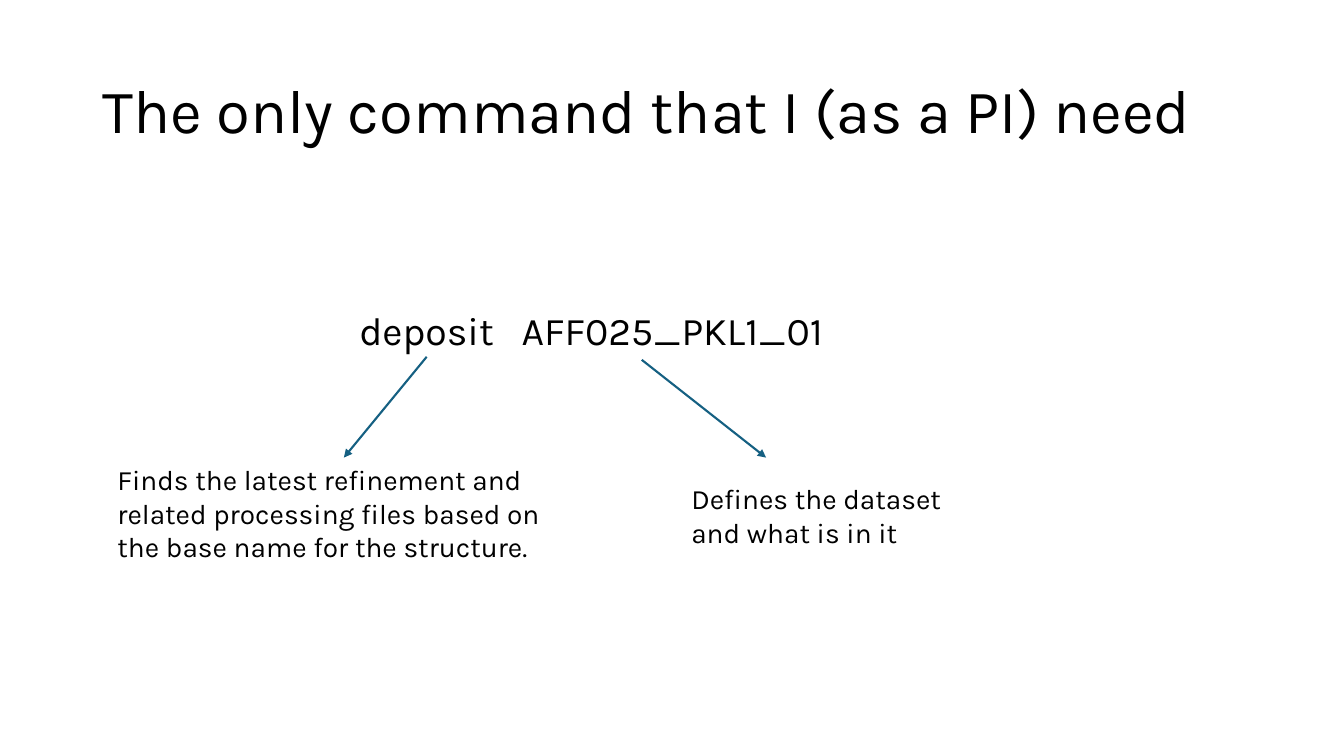
from pptx import Presentation
from pptx.dml.color import RGBColor
from pptx.enum.shapes import MSO_CONNECTOR
from pptx.enum.text import MSO_ANCHOR, MSO_AUTO_SIZE, PP_ALIGN
from pptx.oxml.ns import qn
from pptx.util import Inches, Pt
from lxml.etree import SubElement

HUES = {"ink": "000000", "line": "156082", "page": "FFFFFF"}
FONT = "Karla"
COLS, ROWS = 40, 30


class Page:
    """Hold the style and the slide, and place items on a grid of columns and rows."""

    def __init__(self, deck):
        self.wide = deck.slide_width / COLS
        self.high = deck.slide_height / ROWS
        self.slide = deck.slides.add_slide(deck.slide_layouts[5])
        fill = self.slide.background.fill
        fill.solid()
        fill.fore_color.rgb = RGBColor.from_string(HUES["page"])

    def span(self, *cells):
        units = (self.wide, self.high) * 2
        return [round(cell * unit) for cell, unit in zip(cells, units)]

    def words(self, frame, text, size, stop=None):
        frame.word_wrap = True
        para = frame.paragraphs[0]
        para.alignment = PP_ALIGN.LEFT
        if stop:
            tabs = SubElement(para._p.get_or_add_pPr(), qn("a:tabLst"))
            SubElement(tabs, qn("a:tab"), pos=str(Inches(stop)), algn="l")
        run = para.add_run()
        run.text = text
        run.font.name = FONT
        run.font.size = Pt(size)
        run.font.color.rgb = RGBColor.from_string(HUES["ink"])
        return para

    def title(self, text, *cells):
        head = self.slide.shapes.title
        head.left, head.top, head.width, head.height = self.span(*cells)
        frame = head.text_frame
        frame.auto_size = MSO_AUTO_SIZE.NONE
        frame.vertical_anchor = MSO_ANCHOR.MIDDLE
        self.words(frame, text, 44).line_spacing = 0.9

    def text(self, text, size, *cells, stop=None):
        box = self.slide.shapes.add_textbox(*self.span(*cells))
        self.words(box.text_frame, text, size, stop)
        box.text_frame.auto_size = MSO_AUTO_SIZE.SHAPE_TO_FIT_TEXT
        return box

    def arrow(self, *cells, goal=None):
        line = self.slide.shapes.add_connector(MSO_CONNECTOR.STRAIGHT, *self.span(*cells))
        if goal is not None:
            line.end_connect(goal, 0)
        line.line.color.rgb = RGBColor.from_string(HUES["line"])
        line.line.width = Pt(1.5)
        SubElement(line.line._get_or_add_ln(), qn("a:tailEnd"), type="triangle")
        SubElement(line._element.spPr, qn("a:effectLst"))


def main():
    deck = Presentation()
    deck.slide_width, deck.slide_height = Inches(13.33), Inches(7.5)
    page = Page(deck)
    page.title("The only command that I (as a PI) need", 2.75, 1.6, 34.5, 5.8)
    page.text("deposit\tAFF025_PKL1_01", 28, 10.4, 11.96, 16.8, 2.28, stop=1.61)
    finds = page.text(
        "Finds the latest refinement and related processing files "
        "based on the base name for the structure.",
        20, 3.2, 18.16, 14.07, 4.44)
    page.arrow(12.7, 14.16, 10.23, 18.16, goal=finds)
    page.text("Defines the dataset and what is in it", 20, 20.28, 18.92, 8.13, 3.08)
    page.arrow(19.1, 14.28, 22.8, 18.16)
    deck.save("out.pptx")


if __name__ == "__main__":
    main()
